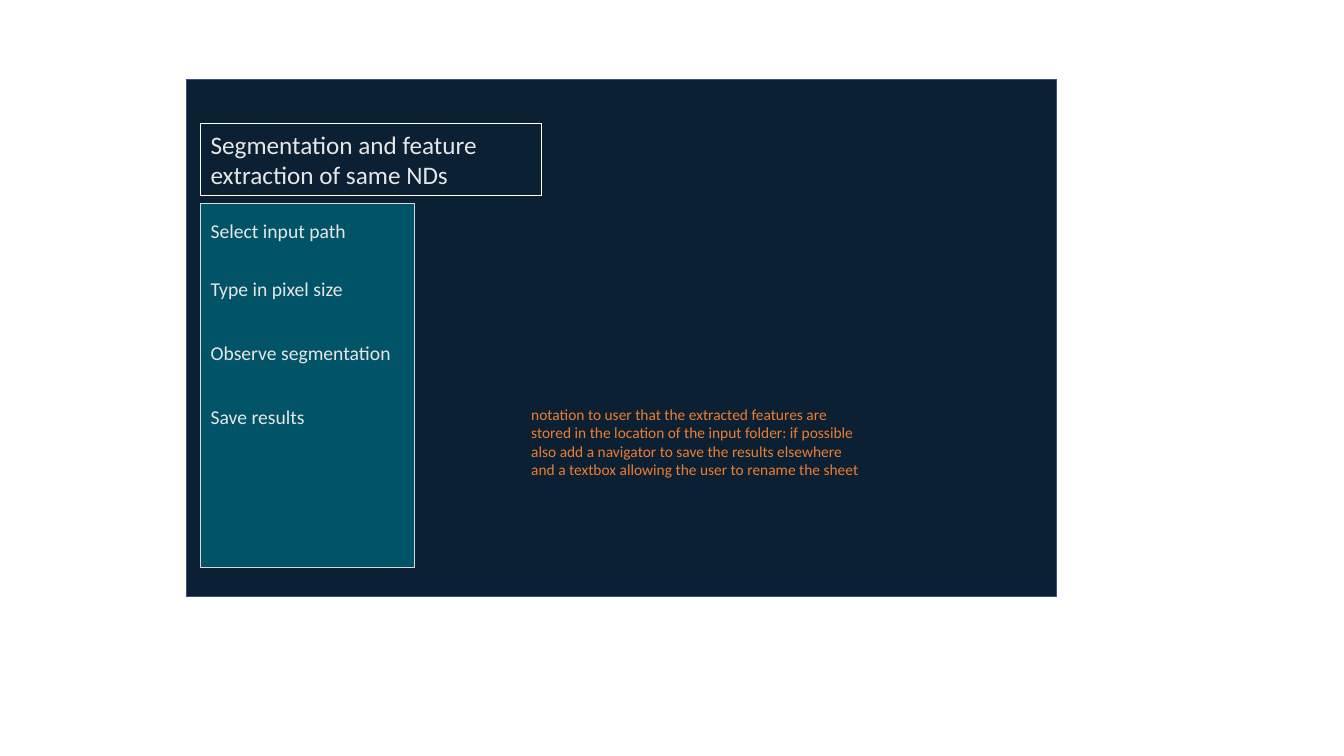
"""Build the slide that sketches the segmentation and feature extraction window."""
from dataclasses import dataclass
from typing import Optional

import pptx
import pptx.dml.color
import pptx.enum.shapes
import pptx.enum.text
import pptx.util

RGBColor = pptx.dml.color.RGBColor
Inches = pptx.util.Inches

NAVY = RGBColor(0x0B, 0x20, 0x33)
BLUE = RGBColor(0x32, 0x54, 0x91)
TEAL = RGBColor(0x01, 0x53, 0x67)
WHITE = RGBColor(0xFF, 0xFF, 0xFF)
SILVER = RGBColor(0xD9, 0xD9, 0xD9)
PALE = RGBColor(0xE7, 0xE6, 0xE6)
ORANGE = RGBColor(0xED, 0x7D, 0x31)
FONT = "Calibri"
MENU_LEFT = 1.99


@dataclass(frozen=True)
class Panel:
    left: float
    top: float
    width: float
    height: float
    border: RGBColor
    border_width: float
    fill: Optional[RGBColor] = None


@dataclass(frozen=True)
class Label:
    text: str
    left: float
    top: float
    width: float
    height: float
    size: int
    color: RGBColor = PALE


WINDOW = Panel(1.85, 0.79, 8.63, 5.13, BLUE, 1, NAVY)
HEADING_FRAME = Panel(MENU_LEFT, 1.23, 3.38, 0.71, WHITE, 0.75)
MENU = Panel(MENU_LEFT, 2.02, 2.12, 3.61, SILVER, 1, TEAL)

HEADING = Label("Segmentation and feature extraction of same NDs",
                MENU_LEFT, 1.23, 3.38, 0.71, 18)
NOTE = Label(
    "notation to user that the extracted features are stored in the location "
    "of the input folder: if possible also add a navigator to save the results "
    "elsewhere and a textbox allowing the user to rename the sheet",
    5.17, 3.97, 3.49, 0.84, 11, ORANGE)
STEPS = [
    Label(text, MENU_LEFT, top, width, 0.34, 14)
    for text, top, width in (
        ("Select input path", 2.12, 3.38),
        ("Type in pixel size", 2.7, 3.38),
        ("Observe segmentation", 3.33, 2.87),
        ("Save results", 3.97, 2.87),
    )
]


def draw_panel(slide: pptx.slide.Slide, panel: Panel) -> pptx.shapes.autoshape.Shape:
    rectangle = slide.shapes.add_shape(
        pptx.enum.shapes.MSO_SHAPE.RECTANGLE,
        Inches(panel.left), Inches(panel.top),
        Inches(panel.width), Inches(panel.height))
    rectangle.shadow.inherit = False
    if panel.fill is None:
        rectangle.fill.background()
    else:
        rectangle.fill.solid()
        rectangle.fill.fore_color.rgb = panel.fill
    rectangle.line.color.rgb = panel.border
    rectangle.line.width = pptx.util.Pt(panel.border_width)
    return rectangle


def write_label(frame: pptx.text.text.TextFrame, label: Label) -> None:
    frame.word_wrap = True
    frame.auto_size = pptx.enum.text.MSO_AUTO_SIZE.SHAPE_TO_FIT_TEXT
    frame.vertical_anchor = pptx.enum.text.MSO_ANCHOR.TOP
    paragraph = frame.paragraphs[0]
    paragraph.alignment = pptx.enum.text.PP_ALIGN.LEFT
    run = paragraph.add_run()
    run.text = label.text
    run.font.name = FONT
    run.font.size = pptx.util.Pt(label.size)
    run.font.color.rgb = label.color


def draw_label(slide: pptx.slide.Slide, label: Label) -> None:
    box = slide.shapes.add_textbox(
        Inches(label.left), Inches(label.top),
        Inches(label.width), Inches(label.height))
    write_label(box.text_frame, label)


def main() -> None:
    presentation = pptx.Presentation()
    presentation.slide_width = Inches(13.33)
    presentation.slide_height = Inches(7.5)
    slide = presentation.slides.add_slide(presentation.slide_layouts[6])

    draw_panel(slide, WINDOW)
    heading_frame = draw_panel(slide, HEADING_FRAME)
    write_label(heading_frame.text_frame, HEADING)
    draw_label(slide, NOTE)
    draw_panel(slide, MENU)
    for step in STEPS:
        draw_label(slide, step)

    presentation.save("out.pptx")


if __name__ == "__main__":
    main()
